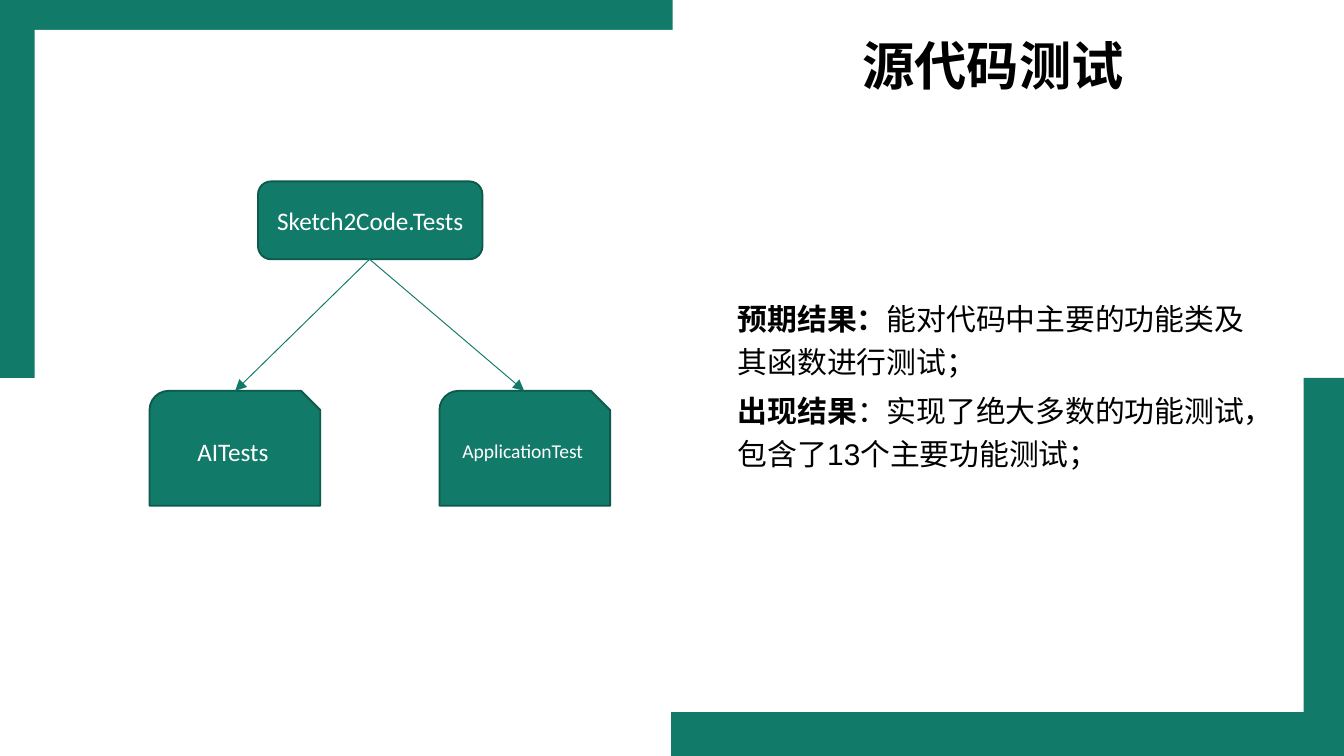
"""Build the source code testing slide with a small test tree."""
from pptx import Presentation
from pptx.dml.color import RGBColor
from pptx.enum.shapes import MSO_CONNECTOR, MSO_SHAPE as Preset
from pptx.enum.text import MSO_ANCHOR as Anchor, MSO_AUTO_SIZE as AutoSize, PP_ALIGN as Align
from pptx.oxml.ns import qn
from pptx.util import Inches, Pt
from lxml.etree import SubElement

GREEN, DARK_GREEN, WHITE, BLACK = "117A68", "0D5A4D", "FFFFFF", "000000"

presentation = Presentation()
presentation.slide_width = Inches(10)
presentation.slide_height = presentation.slide_width * 9 // 16
slide = presentation.slides.add_slide(presentation.slide_layouts[6])
column, row = presentation.slide_width / 100, presentation.slide_height / 100


def color(value):
    return RGBColor.from_string(value)


def add_text(paragraph, text, name, size, fill, bold=False):
    run = paragraph.add_run()
    run.text = text
    for key, value in {"name": name, "size": Pt(size), "bold": bold}.items():
        setattr(run.font, key, value)
    run.font.color.rgb = color(fill)


panels = [
    (0, 0, 50.06, 50, GREEN),
    (49.94, 50, 50.06, 50, GREEN),
    (2.57, 3.96, 94.43, 90.2, WHITE),
]
for left, top, width, height, fill in panels:
    panel = slide.shapes.add_shape(
        Preset.RECTANGLE, int(left * column), int(top * row), int(width * column), int(height * row))
    panel.shadow.inherit = False
    panel.fill.solid()
    panel.fill.fore_color.rgb = color(fill)
    panel.line.fill.background()

title = slide.shapes.add_textbox(
    int(58.1 * column), int(3.56 * row), int(31.6 * column), int(10.14 * row))
title_format = {"word_wrap": True, "auto_size": AutoSize.SHAPE_TO_FIT_TEXT}
for key, value in title_format.items():
    setattr(title.text_frame, key, value)
heading = title.text_frame.paragraphs[0]
heading.alignment = Align.CENTER
add_text(heading, "源代码测试", "Calibri", 28, BLACK, True)

results = slide.shapes.add_textbox(
    int(54.9 * column), int(38.8 * row), int(37.9 * column), int(23.5 * row))
margins = dict.fromkeys(("margin_left", "margin_top", "margin_right", "margin_bottom"), 0)
for key, value in {**title_format, **margins}.items():
    setattr(results.text_frame, key, value)
findings = [
    ("预期结果：", "能对代码中主要的功能类及其函数进行测试；"),
    ("出现结果", "：实现了绝大多数的功能测试，包含了13个主要功能测试；"),
]
for index, (label, finding) in enumerate(findings):
    paragraph = results.text_frame.add_paragraph() if index else results.text_frame.paragraphs[0]
    paragraph.line_spacing = 1.2
    paragraph.space_before = Pt(3.2 * index)
    add_text(paragraph, label, "Arial", 16, BLACK, True)
    add_text(paragraph, finding, "Arial", 16, BLACK)

root_top, root_bottom, leaf_top = 24, 34.3, 51.7
nodes = [
    (Preset.ROUNDED_RECTANGLE, 19.2, root_top, 16.7, root_bottom - root_top, "Sketch2Code.Tests", 13.5),
    (Preset.SNIP_ROUND_RECTANGLE, 11.13, leaf_top, 12.7, 15.2, "AITests", 13.5),
    (Preset.SNIP_ROUND_RECTANGLE, 32.7, leaf_top, 12.7, 15.2, "ApplicationTest", 10.5),
]
for preset, left, top, width, height, label, size in nodes:
    node = slide.shapes.add_shape(
        preset, int(left * column), int(top * row), int(width * column), int(height * row))
    node.shadow.inherit = False
    node.fill.solid()
    node.fill.fore_color.rgb = color(GREEN)
    node.line.color.rgb = color(DARK_GREEN)
    node.line.width = Pt(1)
    for key, value in {"word_wrap": True, "vertical_anchor": Anchor.MIDDLE}.items():
        setattr(node.text_frame, key, value)
    paragraph = node.text_frame.paragraphs[0]
    paragraph.alignment = Align.CENTER
    add_text(paragraph, label, "Calibri", size, WHITE)

for leaf_center in (17.5, 39):
    arrow = slide.shapes.add_connector(
        MSO_CONNECTOR.STRAIGHT, int(27.5 * column), int(root_bottom * row),
        int(leaf_center * column), int(leaf_top * row))
    arrow.line.color.rgb = color(GREEN)
    arrow.line.width = Pt(0.5)
    SubElement(arrow.line._get_or_add_ln(), qn("a:tailEnd"), type="triangle")
    SubElement(arrow._element.spPr, qn("a:effectLst"))

presentation.save("out.pptx")
